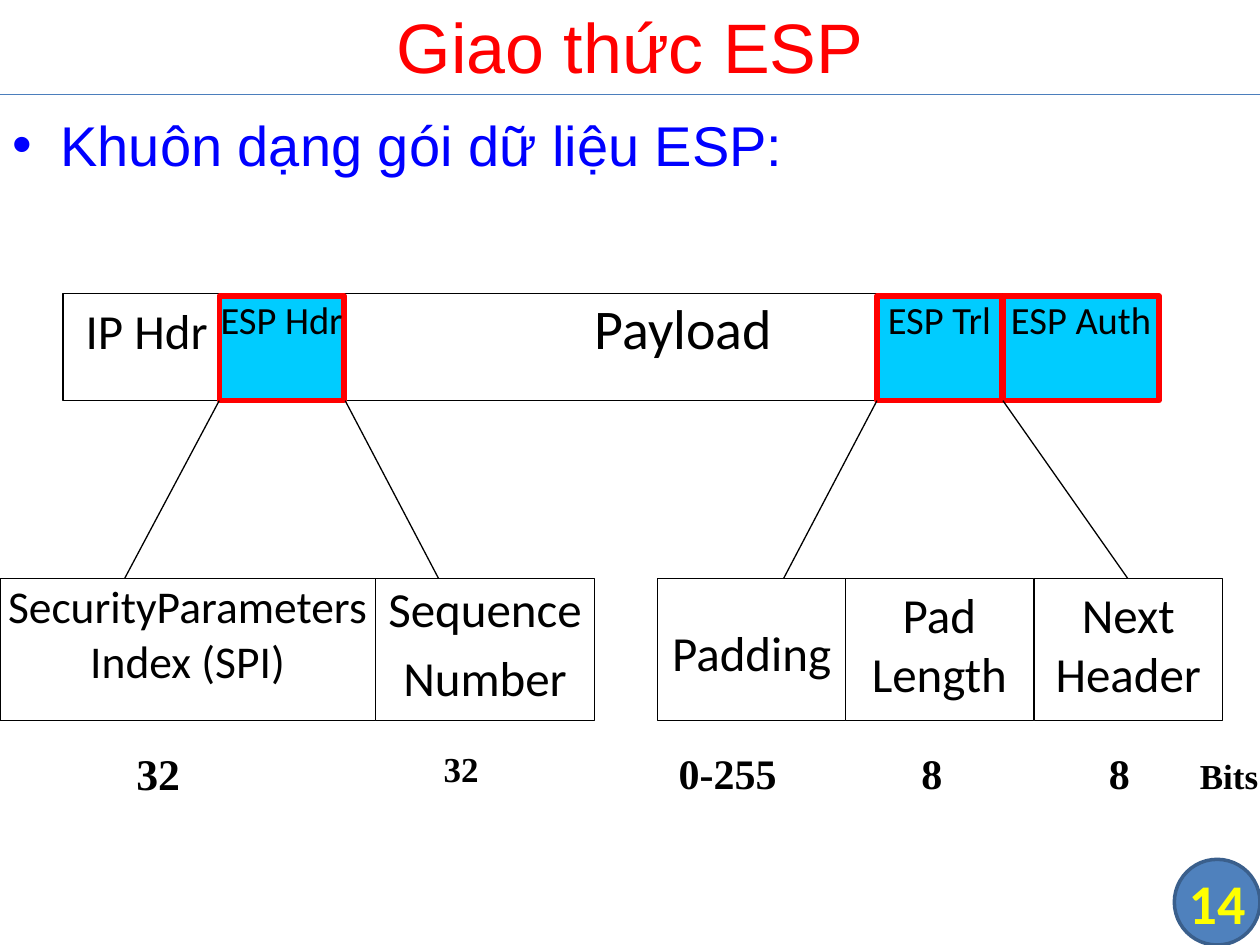
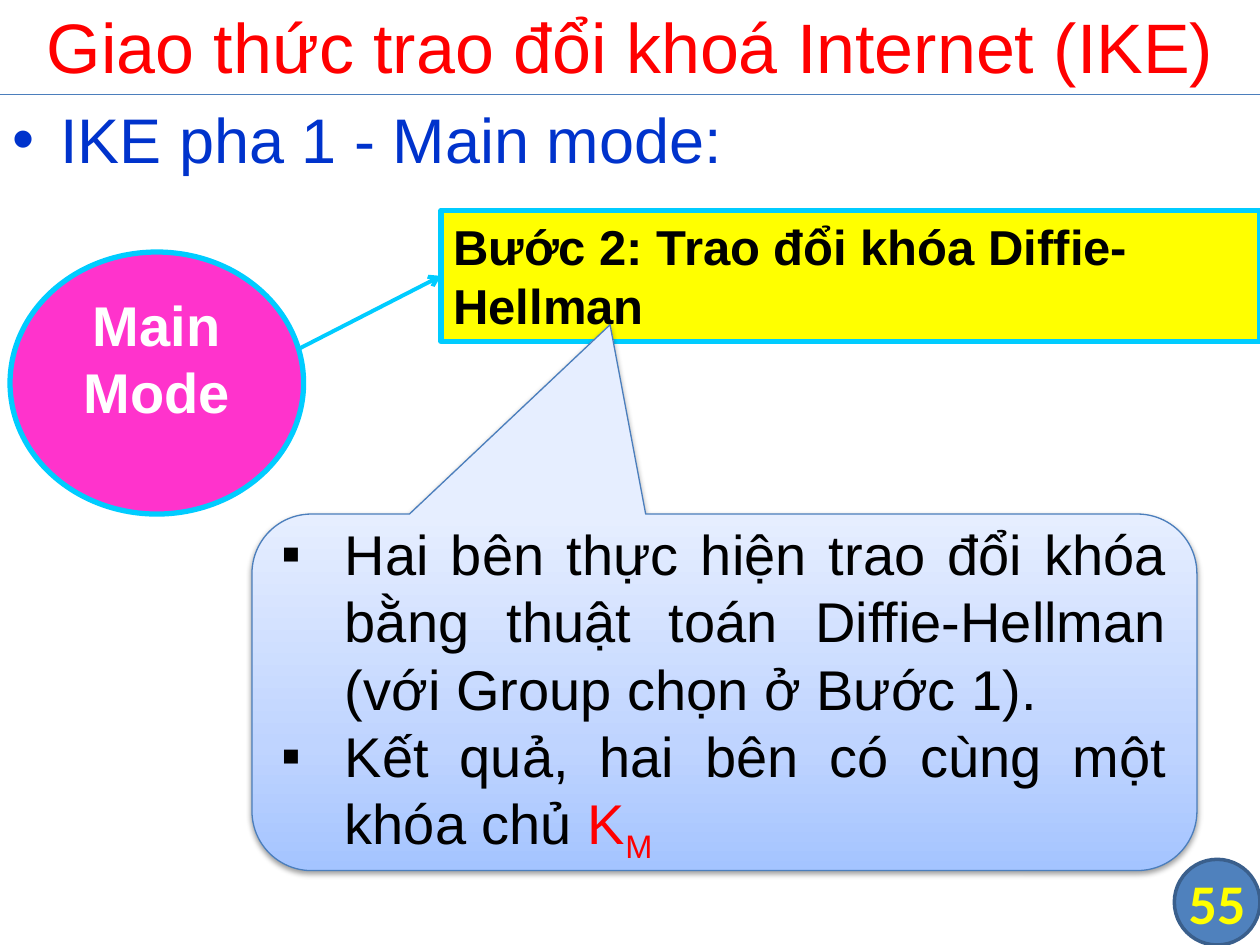
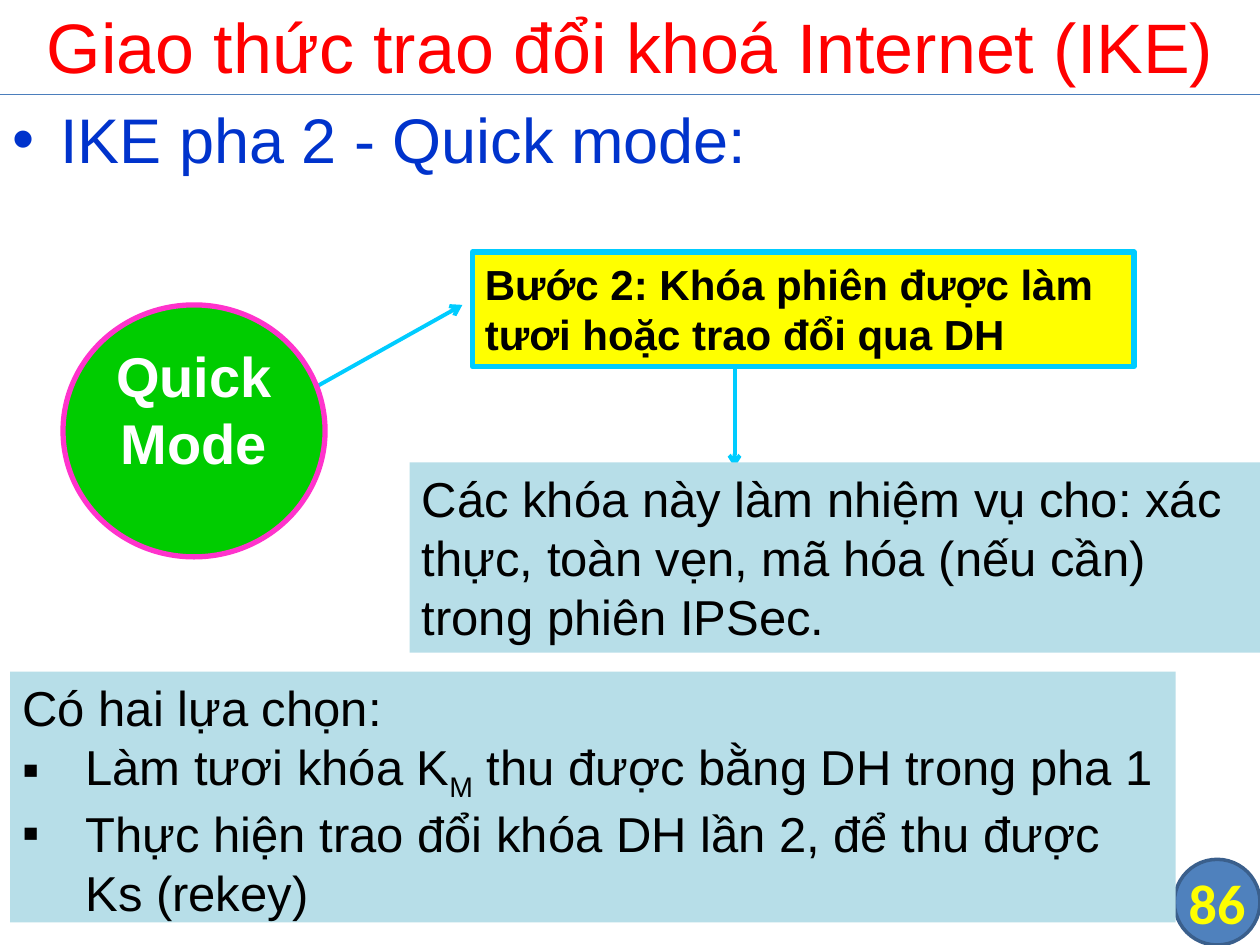
from copy import deepcopy
from dataclasses import dataclass

from lxml.etree import SubElement
from pptx import Presentation
from pptx.dml.color import RGBColor
from pptx.enum.shapes import MSO_CONNECTOR, MSO_SHAPE
from pptx.enum.text import MSO_ANCHOR, MSO_AUTO_SIZE, PP_ALIGN
from pptx.oxml.ns import qn
from pptx.util import Inches, Pt


@dataclass(frozen=True)
class Theme:
    sans: str = "Arial"
    label: str = "Calibri"
    serif: str = "Times New Roman"

    black: str = "000000"
    white: str = "FFFFFF"
    red: str = "FF0000"
    blue: str = "0000FF"
    royal: str = "0033CC"
    yellow: str = "FFFF00"
    cyan: str = "00CCFF"
    pink: str = "FF33CC"
    green: str = "00CC00"
    pale: str = "B7DEE8"
    badge: str = "4F81BD"
    badge_edge: str = "3A5F8C"
    rule: str = "4B7EBC"
    gradient: tuple = ((0, "A4C4FF"), (0.35, "BFD4FF"), (1, "E6EEFF"))

    title: int = 40
    topic: int = 36
    large: int = 32
    medium: int = 28
    long_field: int = 26
    bits: int = 25
    small: int = 24
    narrow_field: int = 22
    tiny: int = 20

    hairline: float = 0.75
    edge: float = 2
    arrow: float = 2.25
    thick: float = 3


THEME = Theme()
CENTER, LEFT, JUSTIFY = PP_ALIGN.CENTER, PP_ALIGN.LEFT, PP_ALIGN.JUSTIFY
MIDDLE, TOP = MSO_ANCHOR.MIDDLE, MSO_ANCHOR.TOP
INSETS = (0.1, 0.05, 0.1, 0.05)
FLUSH = (0, 0, 0, 0)


def inches(*lengths):
    return [Inches(length) for length in lengths]


def color_of(code):
    return RGBColor.from_string(code)


def add_bullet(para, mark, hang):
    props = para._p.get_or_add_pPr()
    props.set("marL", str(Inches(hang)))
    props.set("indent", str(-Inches(hang)))
    SubElement(props, qn("a:buFont"), typeface=THEME.sans)
    SubElement(props, qn("a:buChar"), char=mark)


def add_tab_stop(para, position):
    stops = SubElement(para._p.get_or_add_pPr(), qn("a:tabLst"))
    SubElement(stops, qn("a:tab"), pos=str(Inches(position)), algn="l")


def add_span(para, text, *, size, color, font, bold=False, baseline=0):
    span = para.add_run()
    span.text = text
    span.font.size, span.font.name, span.font.bold = Pt(size), font, bold
    span.font.color.rgb = color_of(color)
    if baseline:
        span._r.get_or_add_rPr().set("baseline", str(baseline * 1000))


def write(frame, *paragraphs, align=LEFT, anchor=TOP, insets=INSETS, wrap=True,
          bullet=None, hang=0.5, bullet_from=0, tab=None, gap=0, spacing=None,
          size=THEME.medium, color=THEME.black, font=THEME.sans, bold=False):
    """Write paragraphs, each a string or a list of (text, format changes)."""
    frame.auto_size = MSO_AUTO_SIZE.NONE
    frame.word_wrap, frame.vertical_anchor = wrap, anchor
    (frame.margin_left, frame.margin_top,
     frame.margin_right, frame.margin_bottom) = inches(*insets)
    style = dict(size=size, color=color, font=font, bold=bold)
    for index, content in enumerate(paragraphs):
        para = frame.add_paragraph() if index else frame.paragraphs[0]
        para.alignment = align
        para.space_before = Pt(gap if index else 0)
        if spacing:
            para.line_spacing = spacing
        if bullet and index >= bullet_from:
            add_bullet(para, bullet, hang)
        if tab:
            add_tab_stop(para, tab)
        spans = [(content, {})] if isinstance(content, str) else content
        for text, changes in spans:
            add_span(para, text, **{**style, **changes})


class SlideBuilder:
    def __init__(self, deck):
        self.deck = deck
        self.page = None

    def start(self, title, topic, number, **topic_format):
        self.page = self.deck.slides.add_slide(self.deck.slide_layouts[1])
        heading, body = self.page.placeholders
        self.place(heading, 0, -0.03, 10, 0.78)
        write(heading.text_frame, title, align=CENTER, anchor=MIDDLE,
              size=THEME.title, color=THEME.red)
        self.place(body, 0, 0.75, 10, 6.75)
        body_format = dict(size=THEME.topic, color=THEME.royal) | topic_format
        write(body.text_frame, topic, bullet="•", hang=0.38, **body_format)
        self.line((0, 0.75), (10, 0.75), THEME.rule)
        self.shape((9.32, 6.82, 0.68, 0.68), number,
                   kind=MSO_SHAPE.FLOWCHART_CONNECTOR, fill=THEME.badge,
                   edge=THEME.badge_edge, width=THEME.edge, align=CENTER,
                   anchor=MIDDLE, insets=FLUSH, wrap=False, size=THEME.large,
                   color=THEME.yellow, font=THEME.label, bold=True)

    @staticmethod
    def place(box, left, top, width, height):
        box.left, box.top, box.width, box.height = inches(left, top, width, height)

    def shape(self, area, *paragraphs, kind=MSO_SHAPE.RECTANGLE, fill=THEME.white,
              edge=None, width=THEME.hairline, **text_format):
        box = self.page.shapes.add_shape(kind, *inches(*area))
        box.shadow.inherit = False
        box.fill.solid()
        box.fill.fore_color.rgb = color_of(fill)
        if edge:
            box.line.color.rgb = color_of(edge)
            box.line.width = Pt(width)
        else:
            box.line.fill.background()
        write(box.text_frame, *paragraphs, **text_format)
        return box

    def field(self, area, *paragraphs, **options):
        """Draw one field of the packet, centred unless told otherwise."""
        defaults = dict(edge=THEME.black, align=CENTER, insets=FLUSH,
                        font=THEME.label)
        self.shape(area, *paragraphs, **{**defaults, **options})

    def label(self, area, text, **text_format):
        box = self.page.shapes.add_textbox(*inches(*area))
        write(box.text_frame, text, align=CENTER, **text_format)

    def line(self, start, end, color=THEME.black, width=THEME.hairline, arrow=False):
        link = self.page.shapes.add_connector(
            MSO_CONNECTOR.STRAIGHT, *inches(*start, *end))
        link.line.color.rgb = color_of(color)
        link.line.width = Pt(width)
        props = link._element.spPr
        if arrow:
            SubElement(props.find(qn("a:ln")), qn("a:tailEnd"), type="arrow")
        SubElement(props, qn("a:effectLst"))

    def arrow(self, start, end):
        self.line(start, end, THEME.cyan, THEME.arrow, arrow=True)

    def mode(self, area, name, fill, edge):
        self.shape(area, name, kind=MSO_SHAPE.OVAL, fill=fill, edge=edge,
                   width=THEME.thick, align=CENTER, insets=(0.1, 0, 0.1, 0),
                   size=THEME.large, color=THEME.white, bold=True)

    def step(self, area, text, size):
        self.shape(area, text, fill=THEME.yellow, edge=THEME.cyan,
                   width=THEME.thick, size=size, bold=True)

    def callout(self, area, *paragraphs, adjust, **text_format):
        box = self.shape(area, *paragraphs,
                         kind=MSO_SHAPE.ROUNDED_RECTANGULAR_CALLOUT,
                         edge=THEME.rule, **text_format)
        for index, value in enumerate(adjust):
            box.adjustments[index] = value
        box.fill.gradient()
        box.fill.gradient_angle = 90
        first = box.fill.gradient_stops[0]._gs
        first.addnext(deepcopy(first))
        for stop, (position, color) in zip(box.fill.gradient_stops, THEME.gradient):
            stop.position = position
            stop.color.rgb = color_of(color)
        effects = box._element.spPr.find(qn("a:effectLst"))
        shadow = SubElement(effects, qn("a:outerShdw"), blurRad="40000",
                            dist="20000", dir="5400000", rotWithShape="0")
        tint = SubElement(shadow, qn("a:srgbClr"), val=THEME.black)
        SubElement(tint, qn("a:alpha"), val="38000")


def esp_packet(builder):
    builder.start("Giao thức ESP", "Khuôn dạng gói dữ liệu ESP:", "14",
                  size=THEME.large, color=THEME.blue, spacing=1.14)

    for left, top, width, text, size in (
            (0.76, 5.88, 0.99, "32", THEME.bits),
            (3.04, 5.88, 1.24, "32", THEME.tiny),
            (5.03, 5.88, 1.49, "0-255", THEME.small),
            (7.02, 5.88, 0.75, "8", THEME.small),
            (8.51, 5.88, 0.75, "8", THEME.small),
            (9.26, 5.94, 0.99, "Bits", THEME.tiny)):
        builder.label((left, top, width, 0.81), text, size=size,
                      font=THEME.serif, bold=True)

    builder.field((0.5, 2.33, 8.21, 0.85),
                  [("IP Hdr", {}), ("\tPayload", {"size": THEME.large})],
                  align=LEFT, insets=(0.18, 0, 0, 0), tab=4.04)
    for left, width, text in ((1.74, 0.99, "ESP Hdr"), (6.96, 0.99, "ESP Trl"),
                              (7.96, 1.24, "ESP Auth")):
        builder.field((left, 2.35, width, 0.83), text, fill=THEME.cyan,
                      edge=THEME.red, width=THEME.thick, size=THEME.narrow_field)

    for upper, lower in ((1.74, 0.99), (6.96, 6.22), (2.74, 3.48), (7.96, 8.95)):
        builder.line((upper, 3.18), (lower, 4.59))

    for left, width, lines, options in (
            (0, 2.98, ("SecurityParameters", "Index (SPI)"),
             {"size": THEME.long_field}),
            (2.98, 1.74, ("Sequence", "Number"), {"gap": 6}),
            (5.22, 1.49, ("Padding",), {"insets": (0, 0.35, 0, 0)}),
            (6.71, 1.49, ("Pad", "Length"), {"insets": INSETS}),
            (8.21, 1.49, ("Next", "Header"), {"insets": INSETS})):
        builder.field((left, 4.59, width, 1.13), *lines, **options)


def main_mode(builder):
    builder.start("Giao thức trao đổi khoá Internet (IKE)",
                  "IKE pha 1 - Main mode:", "55")
    builder.step((3.5, 1.67, 6.5, 1.04), "Bước 2: Trao đổi khóa Diffie-Hellman",
                 THEME.medium)
    builder.arrow((2.33, 2.79), (3.5, 2.19))
    builder.mode((0.08, 2, 2.33, 2.08), "Main Mode", THEME.pink, THEME.cyan)
    builder.callout(
        (2, 4.08, 7.5, 2.83),
        "Hai bên thực hiện trao đổi khóa bằng thuật toán Diffie-Hellman "
        "(với Group chọn ở Bước 1).",
        [("Kết quả, hai bên có cùng một khóa chủ ", {}),
         ("K", {"color": THEME.red}),
         ("M", {"color": THEME.red, "baseline": -25})],
        adjust=(-0.121, -1.031, 0.167), bullet="▪", align=JUSTIFY,
        anchor=MIDDLE, size=THEME.large)


def quick_mode(builder):
    builder.start("Giao thức trao đổi khoá Internet (IKE)",
                  "IKE pha 2 - Quick mode:", "86")
    builder.arrow((2.33, 3.17), (3.67, 2.42))
    builder.arrow((5.83, 2.5), (5.83, 3.71))
    builder.step((3.75, 2, 5.25, 0.91),
                 "Bước 2: Khóa phiên được làm tươi hoặc trao đổi qua DH",
                 THEME.small)
    builder.shape((3.25, 3.67, 6.75, 1.51),
                  "Các khóa này làm nhiệm vụ cho: xác thực, toàn vẹn, mã hóa "
                  "(nếu cần) trong phiên IPSec.", fill=THEME.pale)
    builder.shape((0.08, 5.33, 9.25, 1.99),
                  "Có hai lựa chọn:",
                  [("Làm tươi khóa K", {}), ("M", {"baseline": -25}),
                   (" thu được bằng DH trong pha 1", {})],
                  "Thực hiện trao đổi khóa DH lần 2, để thu được Ks (rekey)",
                  fill=THEME.pale, bullet="▪", bullet_from=1)
    builder.mode((0.5, 2.42, 2.08, 2), "Quick Mode", THEME.green, THEME.pink)


def main():
    deck = Presentation()
    deck.slide_width, deck.slide_height = inches(10, 7.5)
    builder = SlideBuilder(deck)
    for build in (esp_packet, main_mode, quick_mode):
        build(builder)
    deck.save("out.pptx")


if __name__ == "__main__":
    main()
